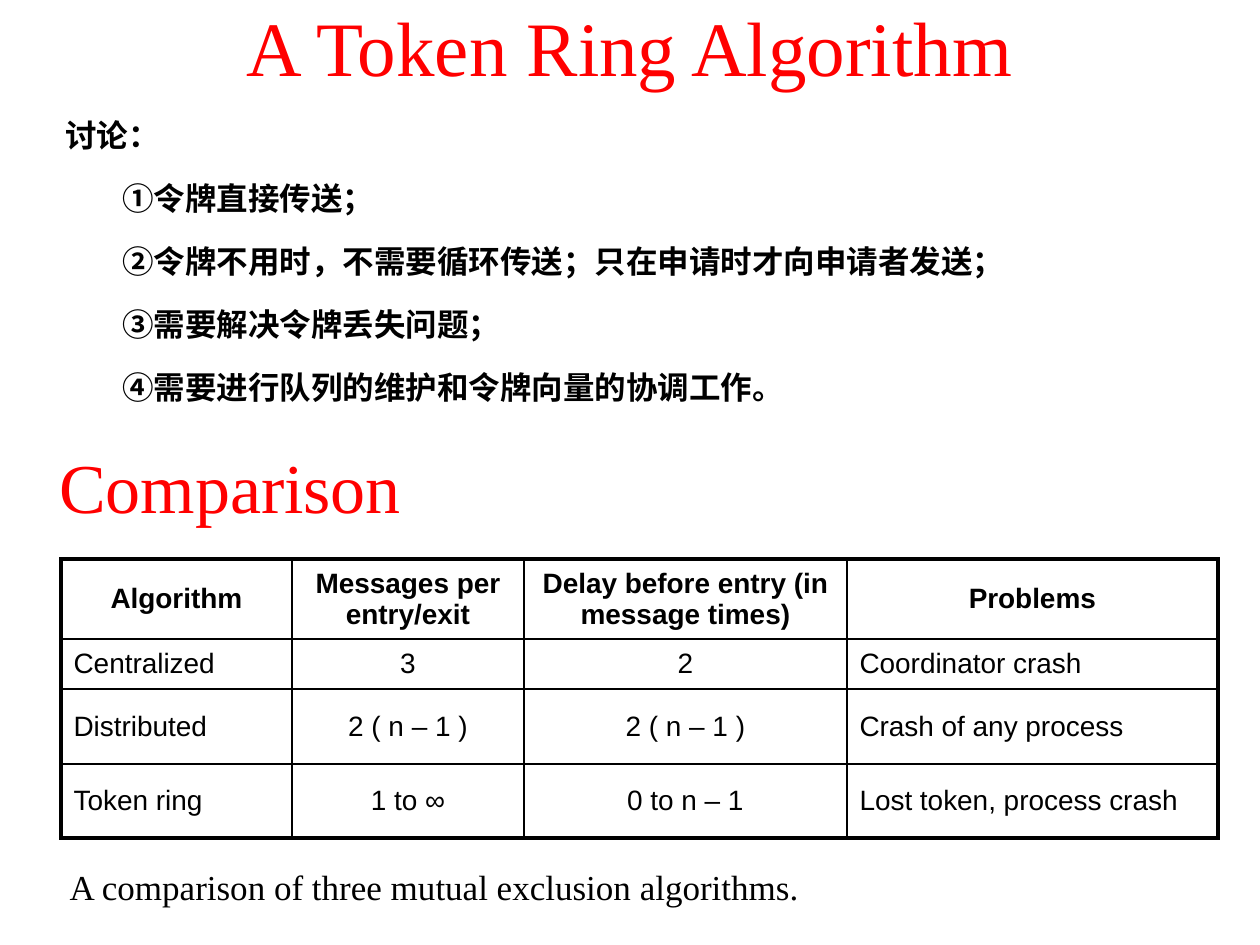
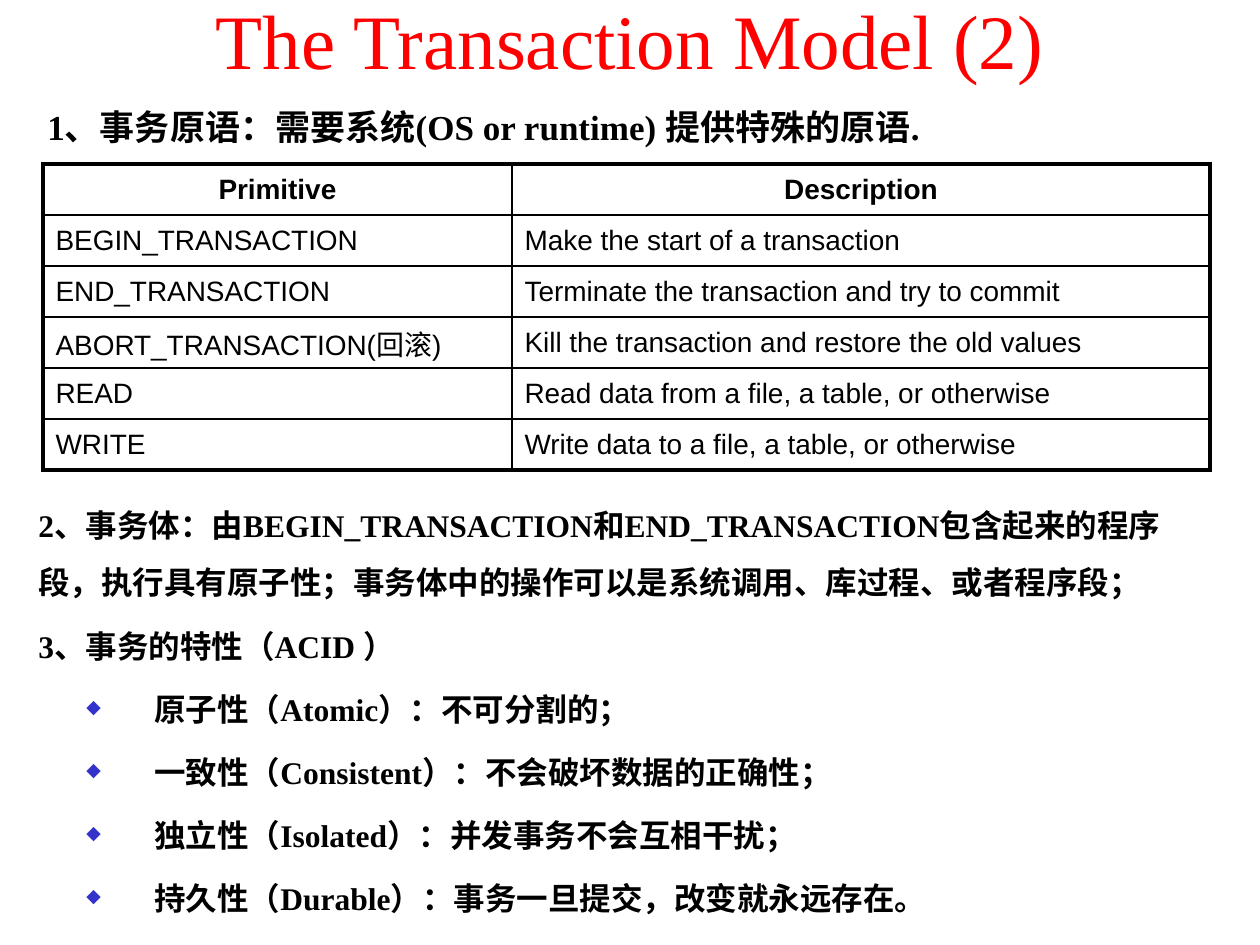
from lxml import etree
from pptx import Presentation
from pptx.dml.color import RGBColor
from pptx.enum.text import MSO_ANCHOR, PP_ALIGN
from pptx.oxml.ns import qn
from pptx.util import Pt

EMU_PER_PX = 914400 / 126
RED = RGBColor(0xFF, 0x00, 0x00)
BLACK = RGBColor(0x00, 0x00, 0x00)
BULLET_BLUE = RGBColor(0x33, 0x33, 0xCC)
SERIF = "Times New Roman"
SANS = "Arial"
LEFT, CENTER, JUSTIFY = PP_ALIGN.LEFT, PP_ALIGN.CENTER, PP_ALIGN.JUSTIFY
TOP, MIDDLE = MSO_ANCHOR.TOP, MSO_ANCHOR.MIDDLE
TITLE_ONLY = 5
THIN, THICK = Pt(1), Pt(2.25)
BULLET_MARGIN, BULLET_HANG = 116, 68
ITEM_MARGIN = 57


def px(length):
    return round(length * EMU_PER_PX)


def write(frame, lines, size, font=SERIF, color=BLACK, bold=False,
          align=LEFT, anchor=TOP, leading=None):
    """Fill a text frame; each line is (text, left margin, has bullet)."""
    frame.word_wrap = True
    frame.vertical_anchor = anchor
    for index, (text, margin, bulleted) in enumerate(lines):
        paragraph = frame.paragraphs[0] if index == 0 else frame.add_paragraph()
        properties = paragraph._p.get_or_add_pPr()
        properties.set("marL", str(px(margin)))
        properties.set("indent", str(px(-BULLET_HANG if bulleted else 0)))
        if bulleted:
            bullet_color = etree.SubElement(properties, qn("a:buClr"))
            etree.SubElement(bullet_color, qn("a:srgbClr"), val=str(BULLET_BLUE))
            etree.SubElement(properties, qn("a:buSzPct"), val="60000")
            etree.SubElement(properties, qn("a:buChar"), char="◆")
        paragraph.alignment = align
        paragraph.space_before = Pt(size * 0.2 if index else 0)
        if leading:
            paragraph.line_spacing = Pt(leading)
        run = paragraph.add_run()
        run.text = text
        run.font.size = Pt(size)
        run.font.name = font
        run.font.bold = bold
        run.font.color.rgb = color


presentation = Presentation()
presentation.slide_width = px(1260)
presentation.slide_height = px(945)

BODY = dict(size=18, bold=True, leading=32.4)
CAPTION = dict(size=20, align=CENTER)
HEADING = dict(size=40, color=RED, align=CENTER, anchor=MIDDLE)

ring_points = [
    ("讨论：", 0, False),
    ("①令牌直接传送；", ITEM_MARGIN, False),
    ("②令牌不用时，不需要循环传送；只在申请时才向申请者发送；", ITEM_MARGIN, False),
    ("③需要解决令牌丢失问题；", ITEM_MARGIN, False),
    ("④需要进行队列的维护和令牌向量的协调工作。", ITEM_MARGIN, False),
]
acid_points = [
    ("3、事务的特性（ACID ）", 0, False),
    ("原子性（Atomic）：不可分割的；", BULLET_MARGIN, True),
    ("一致性（Consistent）：不会破坏数据的正确性；", BULLET_MARGIN, True),
    ("独立性（Isolated）：并发事务不会互相干扰；", BULLET_MARGIN, True),
    ("持久性（Durable）：事务一旦提交，改变就永远存在。", BULLET_MARGIN, True),
]
primitives_intro = "1、事务原语：需要系统(OS or runtime) 提供特殊的原语."
transaction_body = (
    "2、事务体：由BEGIN_TRANSACTION和END_TRANSACTION包含起来的程序段，"
    "执行具有原子性；事务体中的操作可以是系统调用、库过程、或者程序段；")

slides = [
    {
        "title": "A Token Ring Algorithm",
        "title_height": 91,
        "texts": [
            ((53, 91, 1131, 343), ring_points, dict(BODY, align=JUSTIFY)),
            ((30, 449, 400, 74), [("Comparison", 0, False)], HEADING),
            ((30, 859, 809, 47),
             [("A comparison of three mutual exclusion algorithms.", 0, False)], CAPTION),
        ],
        "table_at": (61, 559),
        "columns": [231, 232, 323, 371],
        "rows": [80, 50, 75, 74],
        "centered_columns": {1, 2},
        "cells": [
            ["Algorithm", "Messages per entry/exit",
             "Delay before entry (in message times)", "Problems"],
            ["Centralized", "3", "2", "Coordinator crash"],
            ["Distributed", "2 ( n – 1 )", "2 ( n – 1 )", "Crash of any process"],
            ["Token ring", "1 to ∞", "0 to n – 1", "Lost token, process crash"],
        ],
    },
    {
        "title": "The Transaction Model (2)",
        "title_height": 77,
        "texts": [
            ((35, 78, 931, 77), [(primitives_intro, 0, False)],
             dict(BODY, size=20, leading=36)),
            ((26, 481, 1173, 140), [(transaction_body, 0, False)], BODY),
            ((26, 602, 1201, 330), acid_points, BODY),
        ],
        "table_at": (43, 164),
        "columns": [469, 698],
        "rows": [51] * 6,
        "centered_columns": set(),
        "cells": [
            ["Primitive", "Description"],
            ["BEGIN_TRANSACTION", "Make the start of a transaction"],
            ["END_TRANSACTION", "Terminate the transaction and try to commit"],
            ["ABORT_TRANSACTION(回滚)", "Kill the transaction and restore the old values"],
            ["READ", "Read data from a file, a table, or otherwise"],
            ["WRITE", "Write data to a file, a table, or otherwise"],
        ],
    },
]

for content in slides:
    slide = presentation.slides.add_slide(presentation.slide_layouts[TITLE_ONLY])
    title = slide.shapes.title
    title.left, title.top = 0, 0
    title.width, title.height = px(1260), px(content["title_height"])
    write(title.text_frame, [(content["title"], 0, False)], 44, color=RED,
          align=CENTER, anchor=MIDDLE)

    for box, lines, style in content["texts"]:
        textbox = slide.shapes.add_textbox(*map(px, box))
        write(textbox.text_frame, lines, **style)

    columns, rows = content["columns"], content["rows"]
    left, top = content["table_at"]
    table = slide.shapes.add_table(
        len(rows), len(columns), px(left), px(top), px(sum(columns)), px(sum(rows))).table
    table.first_row = False
    table.horz_banding = False
    for column, width in zip(table.columns, columns):
        column.width = px(width)
    for row, height in zip(table.rows, rows):
        row.height = px(height)

    for row_index, row_texts in enumerate(content["cells"]):
        for column_index, text in enumerate(row_texts):
            cell = table.cell(row_index, column_index)
            is_header = row_index == 0
            is_centered = is_header or column_index in content["centered_columns"]
            write(cell.text_frame, [(text, 0, False)], 16, font=SANS, bold=is_header,
                  align=CENTER if is_centered else LEFT)
            cell.vertical_anchor = MIDDLE
            on_outer_edge = {
                "a:lnL": column_index == 0,
                "a:lnR": column_index == len(columns) - 1,
                "a:lnT": row_index == 0,
                "a:lnB": row_index == len(rows) - 1,
            }
            cell_properties = cell._tc.get_or_add_tcPr()
            for side, is_outer in on_outer_edge.items():
                border = etree.SubElement(
                    cell_properties, qn(side), w=str(THICK if is_outer else THIN))
                border_fill = etree.SubElement(border, qn("a:solidFill"))
                etree.SubElement(border_fill, qn("a:srgbClr"), val=str(BLACK))
            cell.fill.background()

presentation.save("out.pptx")
